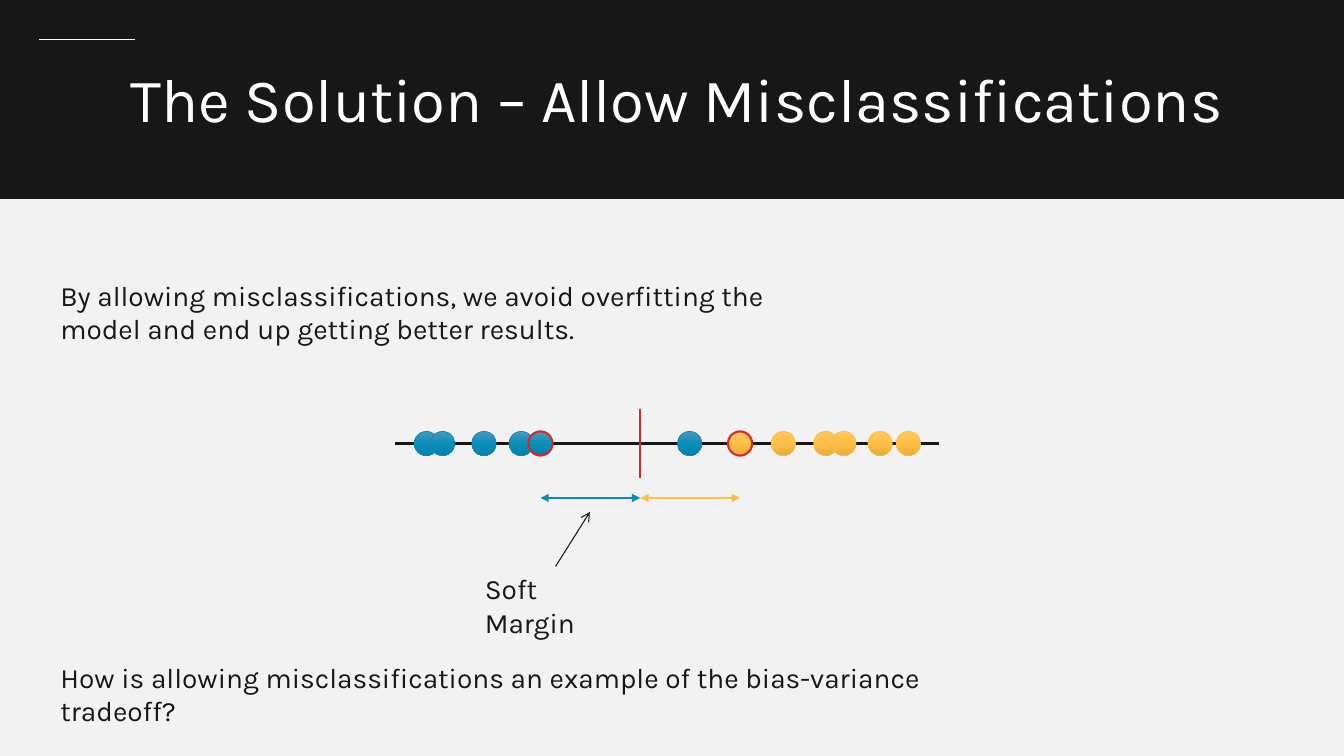
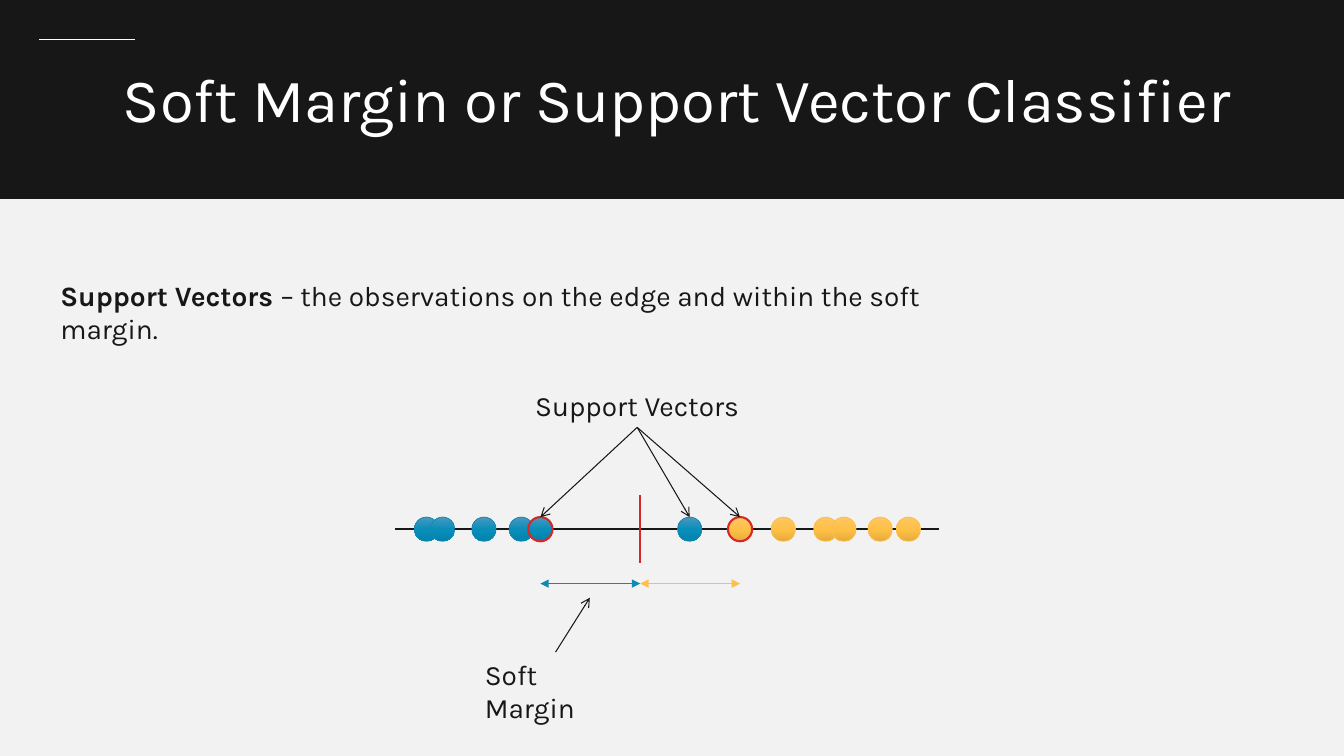
import lxml.etree
import pptx
import pptx.dml.color
import pptx.enum.shapes
import pptx.enum.text
import pptx.oxml.ns
import pptx.util

PX = 9144  # EMU per px, at 100 px to the inch
SLIDE_W, SLIDE_H = 1333, 750
FONT = "Karla"
INK, PAPER, WHITE = "181717", "F2F2F2", "FFFFFF"
BLUE, YELLOW, RED = "118AB2", "FCBF49", "D62828"
SHADES = {
    BLUE: ("4C98BD", "098EBA", "0182AC"),
    YELLOW: ("FFC665", "FFC046", "E5AB3C"),
}

DOT = 24
AXIS_LENGTH = 539
BOUNDARY = 243
BLUE_CENTRES = (31, 47, 88, 125, 144, 292)
YELLOW_CENTRES = (342, 385, 427, 445, 481, 509)
EDGES = (144, 342)
SUPPORT_VECTORS = (144, 292, 342)


def px(length):
    return pptx.util.Emu(length * PX)


def rgb(value):
    return pptx.dml.color.RGBColor.from_string(value)


def add_sub(parent, tag, **attributes):
    return lxml.etree.SubElement(parent, pptx.oxml.ns.qn(tag), **attributes)


def add_line(slide, start, end, color, width, head=None, tail=None):
    """Draw a straight line; head and tail are arrowheads at start and end."""
    line = slide.shapes.add_connector(
        pptx.enum.shapes.MSO_CONNECTOR.STRAIGHT, *map(px, (*start, *end)))
    line.line.color.rgb = rgb(color)
    line.line.width = pptx.util.Pt(width)
    outline = line.line._get_or_add_ln()
    for tag, arrowhead in (("a:headEnd", head), ("a:tailEnd", tail)):
        if arrowhead:
            add_sub(outline, tag, type=arrowhead)
    add_sub(line._element.spPr, "a:effectLst")


def add_text(slide, box, runs, size=20, color=INK, centred=False):
    """Write (text, bold) runs as one paragraph."""
    text_box = slide.shapes.add_textbox(*map(px, box))
    frame = text_box.text_frame
    frame.word_wrap = True
    frame.auto_size = pptx.enum.text.MSO_AUTO_SIZE.SHAPE_TO_FIT_TEXT
    paragraph = frame.paragraphs[0]
    if centred:
        paragraph.alignment = pptx.enum.text.PP_ALIGN.CENTER
    for text, bold in runs:
        run = paragraph.add_run()
        run.text = text
        run.font.name = FONT
        run.font.size = pptx.util.Pt(size)
        run.font.bold = bold
        run.font.color.rgb = rgb(color)


def add_shape(slide, kind, box, line_color, line_width):
    shape = slide.shapes.add_shape(kind, *map(px, box))
    shape.shadow.inherit = False
    shape.line.color.rgb = rgb(line_color)
    shape.line.width = pptx.util.Pt(line_width)
    return shape


def add_observation(slide, centre_x, centre_y, color, on_edge):
    """Draw a shaded dot, ringed in red on the edge of the margin."""
    dot = add_shape(
        slide, pptx.enum.shapes.MSO_SHAPE.OVAL,
        (centre_x - DOT // 2, centre_y - DOT // 2, DOT, DOT),
        RED if on_edge else color, 1.5 if on_edge else 0.5)
    dot.fill.gradient()
    dot.fill.gradient_angle = 270
    stops = dot._element.spPr.find(".//" + pptx.oxml.ns.qn("a:gsLst"))
    middle = add_sub(stops, "a:gs", pos="50000")
    add_sub(middle, "a:srgbClr", val=WHITE)
    for index, (stop, shade) in enumerate(
            zip(dot.fill.gradient_stops, SHADES[color])):
        stop.position = index / 2
        stop.color.rgb = rgb(shade)


def add_title_band(slide, title, height=197):
    band = add_shape(slide, pptx.enum.shapes.MSO_SHAPE.RECTANGLE,
                     (0, 0, SLIDE_W, height), INK, 1)
    band.fill.solid()
    band.fill.fore_color.rgb = rgb(INK)
    add_line(slide, (39, 39), (134, 39), WHITE, 0.5)
    add_text(slide, (77, 56, 1190, 84), [(title, False)], 44, WHITE, True)


def add_number_line(slide, left, axis_y):
    """Draw the axis, observations, boundary and the soft margin below."""
    add_line(slide, (left, axis_y), (left + AXIS_LENGTH, axis_y), INK, 1.5)
    for color, centres in ((BLUE, BLUE_CENTRES), (YELLOW, YELLOW_CENTRES)):
        for centre in centres:
            add_observation(slide, left + centre, axis_y, color,
                            centre in EDGES)

    boundary_x = left + BOUNDARY
    add_line(slide, (boundary_x, axis_y - 34), (boundary_x, axis_y + 34),
             RED, 1.5)
    margin_y, margin_width = axis_y + 54, 99
    for color, start in ((BLUE, boundary_x - margin_width),
                         (YELLOW, boundary_x)):
        add_line(slide, (start, margin_y), (start + margin_width, margin_y),
                 color, 1, "triangle", "triangle")

    add_text(slide, (left + 79, axis_y + 122, 161, 44),
             [("Soft Margin", False)])
    add_line(slide, (left + 159, axis_y + 122), (left + 193, axis_y + 68),
             INK, 0.75, tail="arrow")


def add_support_vector_callout(slide, left, axis_y):
    add_text(slide, (left + 114, axis_y - 144, 252, 44),
             [("Support Vectors", False)], centred=True)
    for centre in SUPPORT_VECTORS:
        add_line(slide, (left + 240, axis_y - 101),
                 (left + centre, axis_y - DOT // 2), INK, 0.75, tail="arrow")


def build_solution(slide):
    add_title_band(slide, "The Solution – Allow Misclassifications")
    add_text(slide, (50, 271, 750, 77), [
        ("By allowing misclassifications, we avoid overfitting the model "
         "and end up getting better results.", False)])
    add_number_line(slide, 392, 440)
    add_text(slide, (50, 650, 977, 44), [
        ("How is allowing misclassifications an example of the "
         "bias-variance tradeoff?", False)])


def build_classifier(slide):
    add_title_band(slide, "Soft Margin or Support Vector Classifier")
    add_text(slide, (50, 271, 965, 44), [
        ("Support Vectors ", True),
        ("– the observations on the edge and within the soft margin.",
         False)])
    add_number_line(slide, 392, 525)
    add_support_vector_callout(slide, 392, 525)


def main():
    deck = pptx.Presentation()
    deck.slide_width, deck.slide_height = px(SLIDE_W), px(SLIDE_H)
    background = deck.slide_master.background.fill
    background.solid()
    background.fore_color.rgb = rgb(PAPER)
    for build in (build_solution, build_classifier):
        build(deck.slides.add_slide(deck.slide_layouts[6]))
    deck.save("out.pptx")


if __name__ == "__main__":
    main()
